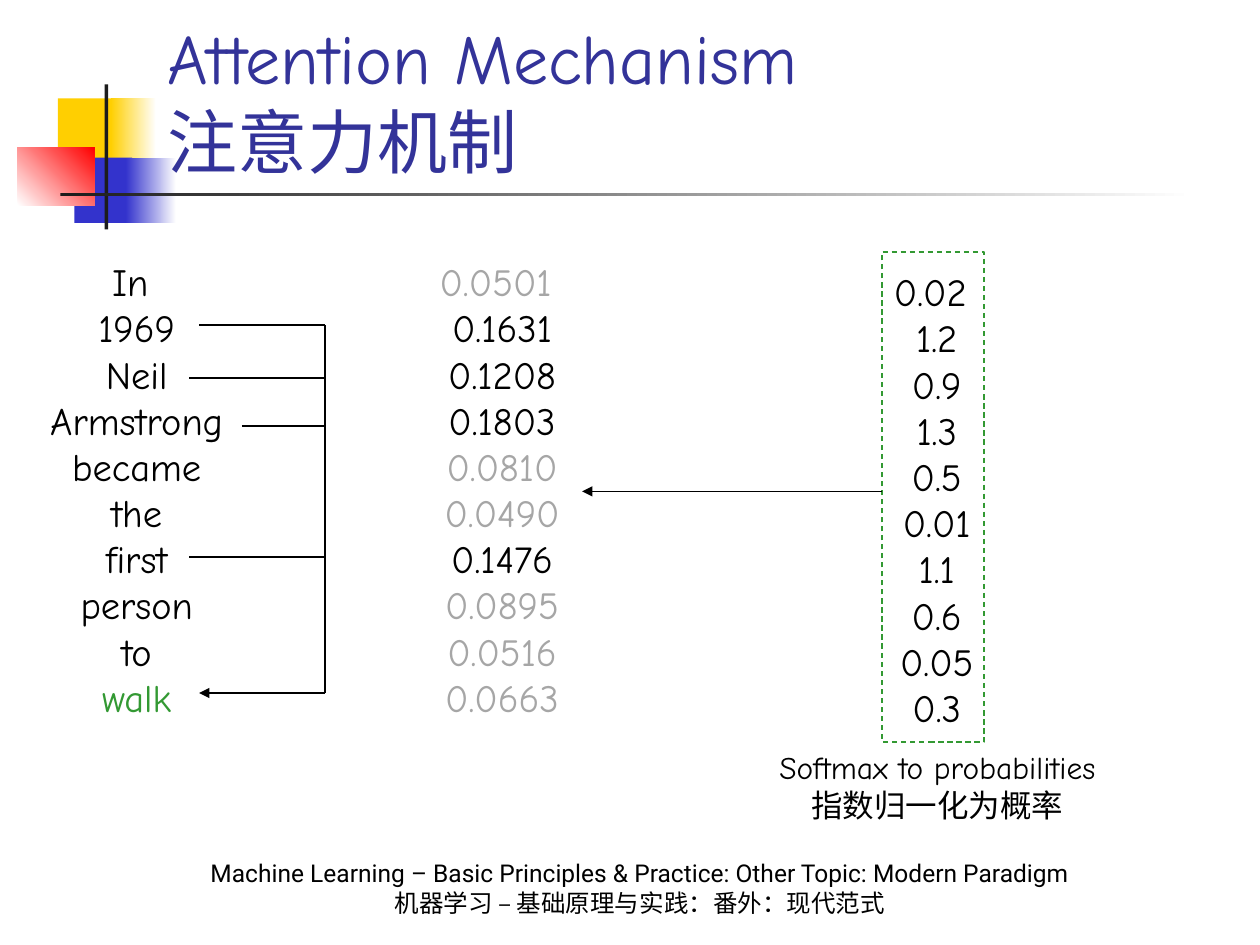
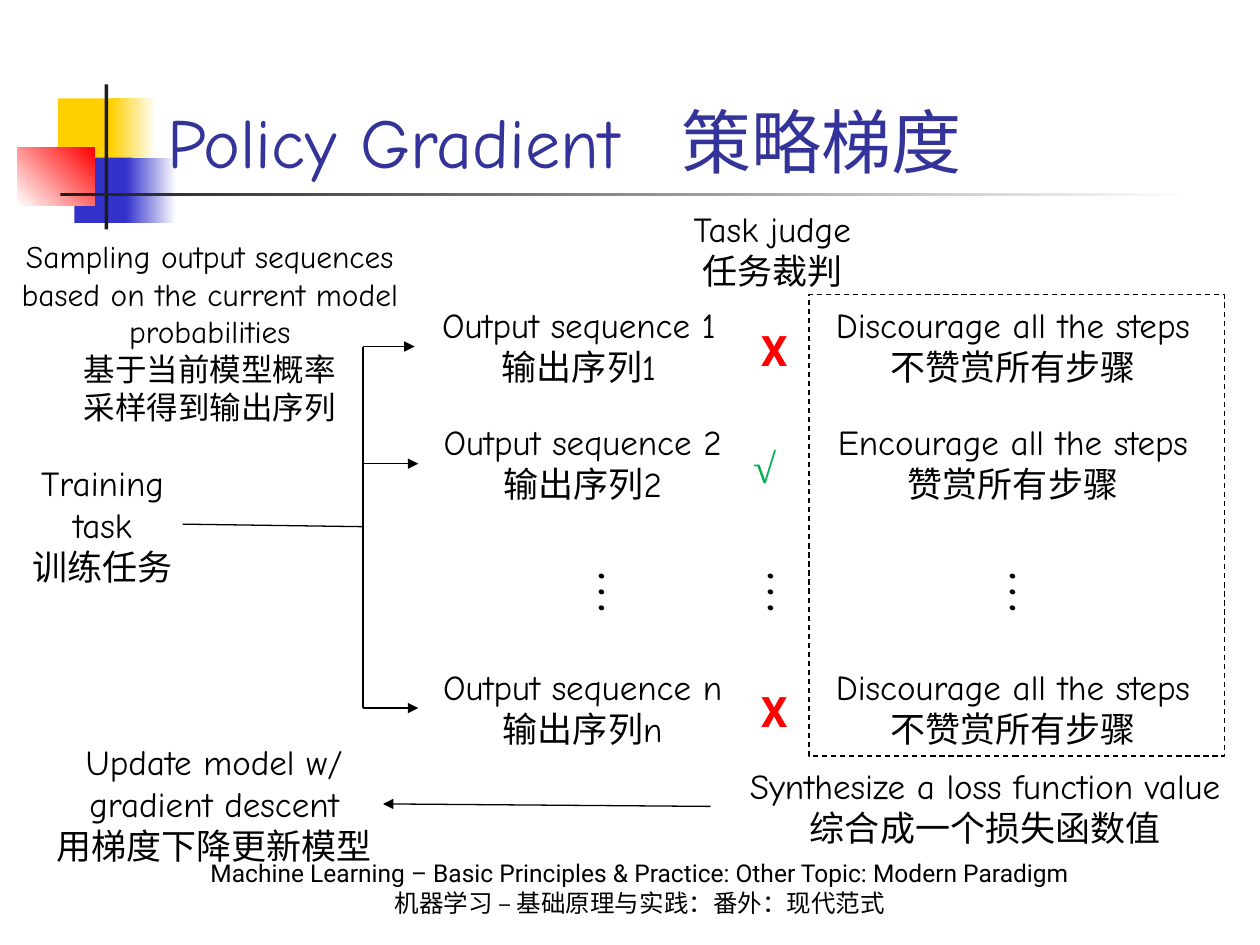
from lxml import etree
from pptx import Presentation
from pptx.dml.color import RGBColor
from pptx.enum.dml import MSO_LINE_DASH_STYLE as Dash
from pptx.enum.shapes import MSO_CONNECTOR as Connector, MSO_SHAPE as Shape
from pptx.enum.text import MSO_ANCHOR as Anchor, PP_ALIGN as Align
from pptx.oxml.ns import qn
from pptx.util import Inches, Pt

BLACK, GRAY, GREEN = "000000", "A6A6A6", "339933"
TITLE_BLUE, YELLOW, BLUE = "333399", "FFCF01", "3333CC"
RED, CHECK_GREEN, DARK, WHITE = "FF0000", "00B050", "1C1C1C", "FFFFFF"
HAND, SANS, SERIF = "Comic Neue", "Roboto", "Times New Roman"

WORDS = ["In ", "1969", "Neil", "Armstrong", "became", "the", "first",
         "person", "to", ("walk", GREEN)]
WEIGHTS = [("0.0501 ", GRAY), "0.1631", "0.1208", "0.1803", ("0.0810", GRAY),
           ("0.0490", GRAY), "0.1476", ("0.0895", GRAY), ("0.0516", GRAY),
           ("0.0663", GRAY)]
SCORES = ["0.02 ", "1.2", "0.9", "1.3", "0.5", "0.01", "1.1", "0.6", "0.05", "0.3"]
CROSS = ("X", 5.94, SANS, RED)
CHECK = ("√", 5.88, SERIF, CHECK_GREEN)
DISCOURAGE = ["Discourage all the steps", "不赞赏所有步骤"]
ENCOURAGE = ["Encourage all the steps", "赞赏所有步骤"]


def rgb(code):
    """Turn a hex string into a colour."""
    return RGBColor.from_string(code)


def inches(*lengths):
    """Turn numbers into lengths in inches."""
    return [Inches(length) for length in lengths]


def add_text(page, box, lines, size, font=HAND, color=BLACK, side=0.1,
             align=Align.CENTER, anchor=Anchor.TOP, bold=False, spacing=None):
    """Add a text box with one paragraph per line, each plain or with its colour."""
    shape = page.shapes.add_textbox(*inches(*box))
    frame = shape.text_frame
    frame.word_wrap = True
    frame.vertical_anchor = anchor
    frame.margin_left = frame.margin_right = Inches(side)
    for index, line in enumerate(lines):
        words, shade = (line, color) if isinstance(line, str) else line
        para = frame.paragraphs[0] if index == 0 else frame.add_paragraph()
        para.alignment = align
        para.line_spacing = spacing
        span = para.add_run()
        span.text = words
        span.font.name, span.font.size, span.font.bold = font, Pt(size), bold
        span.font.color.rgb = rgb(shade)
    return shape


def add_block(page, box, color, end=None, angle=0):
    """Add a plain rectangle, solid or fading to an end colour."""
    block = page.shapes.add_shape(Shape.RECTANGLE, *inches(*box))
    block.shadow.inherit = False
    block.line.fill.background()
    if end is None:
        block.fill.solid()
        block.fill.fore_color.rgb = rgb(color)
        return
    block.fill.gradient()
    block.fill.gradient_angle = angle
    for stop, shade in zip(block.fill.gradient_stops, (color, end)):
        stop.color.rgb = rgb(shade)


def add_frame(page, box, color):
    """Add an unfilled rectangle with a dashed outline."""
    frame = page.shapes.add_shape(Shape.RECTANGLE, *inches(*box))
    frame.shadow.inherit = False
    frame.fill.background()
    frame.line.color.rgb = rgb(color)
    frame.line.width = Pt(0.75)
    frame.line.dash_style = Dash.DASH


def add_line(page, start, end, arrow=False):
    """Add a thin black line, with an arrowhead at its end if asked."""
    line = page.shapes.add_connector(Connector.STRAIGHT, *inches(*start, *end))
    line.line.color.rgb = rgb(BLACK)
    line.line.width = Pt(0.75)
    if arrow:
        stroke = line.line._get_or_add_ln()
        etree.SubElement(stroke, qn("a:tailEnd"), type="triangle")
    etree.SubElement(line._element.spPr, qn("a:effectLst"))


def add_emblem(page, left, top):
    """Draw the coloured squares and the crossing rules."""
    add_block(page, (left + 0.32, top + 0.11, 0.48, 0.52), YELLOW)
    add_block(page, (left + 0.74, top + 0.11, 0.36, 0.52), YELLOW, WHITE)
    add_block(page, (left + 0.45, top + 0.58, 0.46, 0.52), BLUE)
    add_block(page, (left + 0.86, top + 0.58, 0.4, 0.52), BLUE, WHITE)
    add_block(page, (left, top + 0.5, 0.61, 0.46), WHITE, RED, 45)
    add_block(page, (left + 0.69, top, 0.03, 1.15), DARK)
    add_block(page, (left + 0.34, top + 0.86, 9, 0.03), DARK, WHITE)


def add_page(deck, title):
    """Add a slide with the emblem, title and footer."""
    page = deck.slides.add_slide(deck.slide_layouts[6])
    add_emblem(page, 0.14, 0.67)
    heading = add_text(page, (1.23, 0.5, 8.4, 1), title, 40, color=TITLE_BLUE,
                       align=Align.LEFT, anchor=Anchor.BOTTOM)
    add_text(page, (0.83, 6.83, 8.5, 0.5),
             ["Machine Learning – Basic Principles & Practice: Other Topic: Modern Paradigm",
              "机器学习 – 基础原理与实践：番外：现代范式"],
             14, font=SANS, anchor=Anchor.BOTTOM)
    return page, heading


def add_word_links(page, left, top):
    """List the words and link the attended ones to the last."""
    add_text(page, (left, top, 1.83, 3.8), WORDS, 22)
    spine, first, last = left + 2.41, top + 0.58, top + 3.5
    for indent, drop in ((1.41, 0.58), (1.33, 1), (1.75, 1.38), (1.33, 2.42)):
        add_line(page, (left + indent, top + drop), (spine, top + drop))
    add_line(page, (spine, first), (spine, last))
    add_line(page, (spine, last), (left + 1.41, last), arrow=True)


def add_scores(page, left, top):
    """Show the raw scores in a dashed frame with a caption."""
    add_text(page, (left - 0.48, top + 0.08, 1.83, 3.8), SCORES, 22)
    add_frame(page, (left, top, 0.81, 3.89), GREEN)
    add_text(page, (left - 1.57, top + 3.89, 4.02, 0.71),
             ["Softmax to probabilities", "指数归一化为概率"], 18)


def add_attention_page(deck):
    """Build the slide on the attention mechanism."""
    page, _ = add_page(deck, ["Attention Mechanism", "注意力机制"])
    add_word_links(page, 0.17, 2)
    add_text(page, (3.35, 2, 1.27, 3.8), WEIGHTS, 22)
    add_scores(page, 7, 2)
    add_line(page, (7, 3.9), (4.62, 3.9), arrow=True)


def add_sequence_row(page, left, top, number, mark, verdict):
    """Show one output sequence with its mark and verdict."""
    sign, mark_left, font, color = mark
    add_text(page, (left, top, 2.61, 0.77),
             [f"Output sequence {number}", f"输出序列{number}"], 20, side=0)
    add_text(page, (mark_left, top + 0.21, 0.5, 0.65), [sign], 24, font=font,
             color=color, align=Align.LEFT, bold=True, spacing=0.9)
    add_text(page, (6.33, top, 3.42, 0.77), verdict, 20)
    add_line(page, (2.88, top + 0.39), (left, top + 0.39), arrow=True)


def add_dots(page, left, top):
    """Add a vertical ellipsis."""
    dots = add_text(page, (left, top, 0.81, 0.47), ["…"], 36, align=Align.LEFT)
    dots.text_frame._txBody.bodyPr.set("vert", "eaVert")


def add_training_source(page, left, top):
    """Show the task, the sampling note and the branching lines."""
    add_text(page, (left, top, 1.27, 1.11), ["Training task", "训练任务"], 20, side=0)
    add_text(page, (left - 0.19, top - 1.78, 3.35, 1.62),
             ["Sampling output sequences based on the current model probabilities",
              "基于当前模型概率", "采样得到输出序列"], 18)
    spine = left + 2.7
    add_line(page, (left + 1.27, top + 0.55), (spine, top + 0.57))
    add_line(page, (spine, top - 0.86), (spine, top + 2.01))


def add_update_step(page, left, top):
    """Show the loss leading back to the model update."""
    add_text(page, (left + 5.29, top + 0.19, 4.36, 0.77),
             ["Synthesize a loss function value", "综合成一个损失函数值"], 20, side=0)
    add_text(page, (left, top, 2.7, 1.11),
             ["Update model w/ gradient descent", "用梯度下降更新模型"], 20, side=0)
    add_line(page, (left + 5.29, top + 0.57), (left + 2.69, top + 0.55), arrow=True)


def add_policy_page(deck):
    """Build the slide on the policy gradient."""
    page, heading = add_page(deck, ["Policy Gradient\t策略梯度"])
    props = heading.text_frame.paragraphs[0]._p.get_or_add_pPr()
    stops = etree.SubElement(props, qn("a:tabLst"))
    etree.SubElement(stops, qn("a:tab"), pos=str(Inches(4.08)), algn="l")
    add_training_source(page, 0.18, 3.61)
    add_text(page, (5.13, 1.6, 2, 0.77), ["Task judge", "任务裁判"], 20)
    add_sequence_row(page, 3.29, 2.36, "1", CROSS, DISCOURAGE)
    add_sequence_row(page, 3.32, 3.29, "2", CHECK, ENCOURAGE)
    add_sequence_row(page, 3.32, 5.23, "n", CROSS, DISCOURAGE)
    for left in (4.5, 5.84, 7.76):
        add_dots(page, left, 4.44)
    add_frame(page, (6.42, 2.34, 3.3, 3.66), BLACK)
    add_update_step(page, 0.35, 5.83)


def main():
    """Build and save the deck."""
    deck = Presentation()
    deck.slide_width, deck.slide_height = inches(10, 7.5)
    add_attention_page(deck)
    add_policy_page(deck)
    deck.save("out.pptx")


if __name__ == "__main__":
    main()
